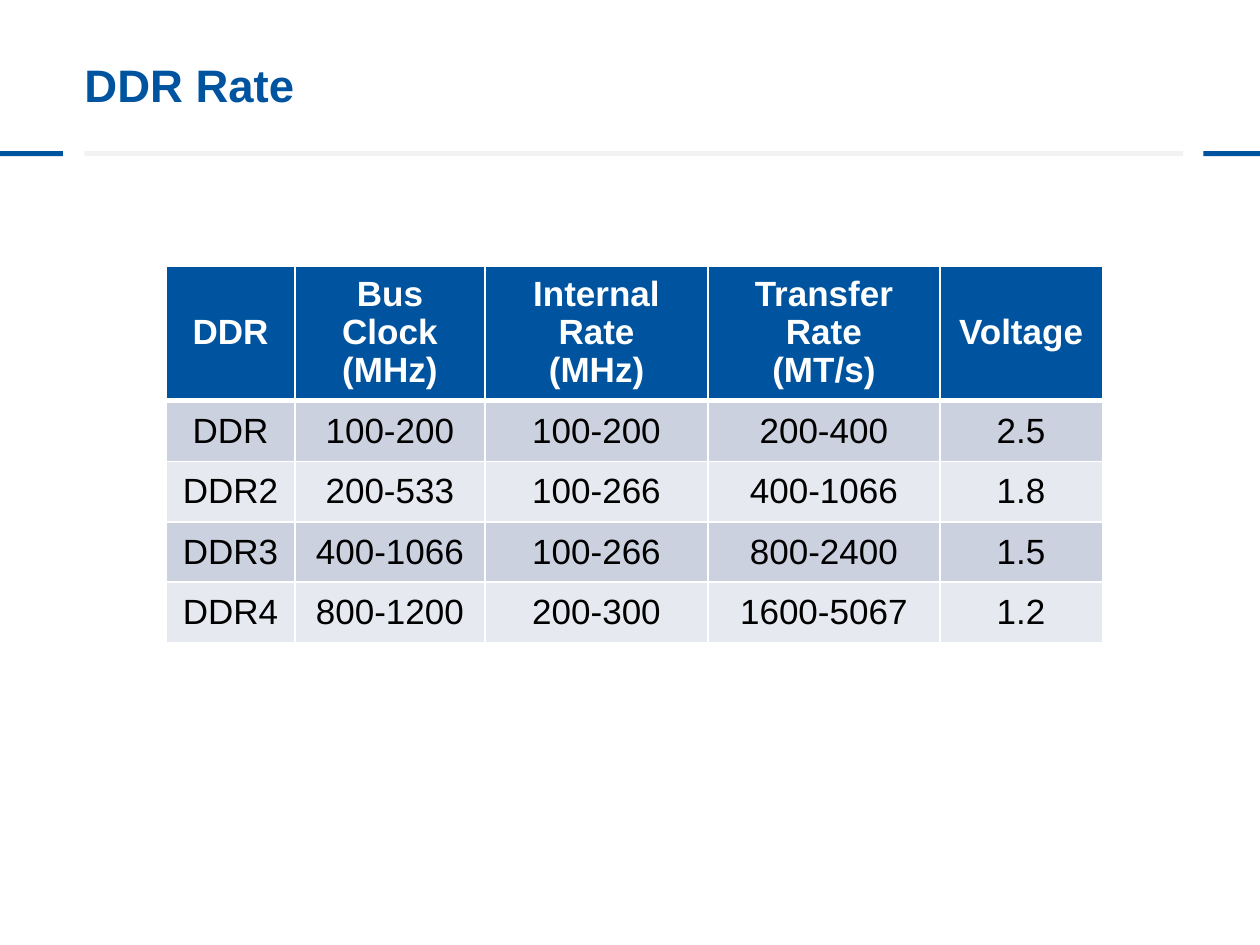
from dataclasses import dataclass

from lxml import etree
from pptx import Presentation
from pptx import util as u
from pptx.dml.color import RGBColor
from pptx.enum import shapes, text
from pptx.oxml.ns import qn


@dataclass(frozen=True)
class Theme:
    font: str = "Arial"
    blue: str = "00549F"
    grey: str = "F2F2F2"
    white: str = "FFFFFF"
    black: str = "000000"
    bands: tuple = ("CCD1DF", "E7E9F0")
    title_size: int = 26
    table_size: int = 20


@dataclass(frozen=True)
class Bar:
    left: float
    width: float
    color: str


@dataclass(frozen=True)
class CellStyle:
    fill: str
    color: str
    bold: bool
    bottom_border: int
    line_spacing: float


THEME = Theme()
BAR_TOP, BAR_HEIGHT = 1.2, 0.04
BARS = (
    Bar(0, 0.5, THEME.blue),
    Bar(9.55, 0.45, THEME.blue),
    Bar(0.67, 8.72, THEME.grey),
)
COLUMN_WIDTHS = (1.02, 1.51, 1.77, 1.84, 1.29)
HEADER_HEIGHT, ROW_HEIGHT = 0.87, 0.48
ROWS = (
    ("DDR", "Bus Clock\n(MHz)", "Internal Rate\n(MHz)", "Transfer Rate\n(MT/s)", "Voltage"),
    ("DDR", "100-200", "100-200", "200-400", "2.5"),
    ("DDR2", "200-533", "100-266", "400-1066", "1.8"),
    ("DDR3", "400-1066", "100-266", "800-2400", "1.5"),
    ("DDR4", "800-1200", "200-300", "1600-5067", "1.2"),
)


def set_font(paragraph, size: int, color: str, bold: bool) -> None:
    for run in paragraph.runs:
        values = {"name": THEME.font, "size": u.Pt(size), "bold": bold}
        for name, value in values.items():
            setattr(run.font, name, value)
        run.font.color.rgb = RGBColor.from_string(color)


def draw_bar(slide, bar: Bar) -> None:
    shape = slide.shapes.add_shape(
        shapes.MSO_SHAPE.RECTANGLE, u.Inches(bar.left), u.Inches(BAR_TOP),
        u.Inches(bar.width), u.Inches(BAR_HEIGHT))
    shape.shadow.inherit = False
    shape.fill.solid()
    shape.fill.fore_color.rgb = RGBColor.from_string(bar.color)
    shape.line.fill.background()


def draw_title(slide, title: str) -> None:
    shape = slide.shapes.add_textbox(
        u.Inches(0.67), u.Inches(0.21), u.Inches(8.72), u.Inches(0.92))
    frame = shape.text_frame
    values = {
        "word_wrap": True, "vertical_anchor": text.MSO_ANCHOR.MIDDLE,
        "margin_left": 0, "margin_top": 0, "margin_right": 0, "margin_bottom": 0,
    }
    for name, value in values.items():
        setattr(frame, name, value)
    frame.text = title
    set_font(frame.paragraphs[0], THEME.title_size, THEME.blue, True)


def set_borders(cell, widths: dict[str, int]) -> None:
    properties = cell._tc.get_or_add_tcPr()
    for index, (side, width) in enumerate(widths.items()):
        line = etree.Element(qn(f"a:{side}"), w=str(u.Pt(width)))
        fill = etree.SubElement(line, qn("a:solidFill"))
        etree.SubElement(fill, qn("a:srgbClr"), val=THEME.white)
        properties.insert(index, line)


def row_style(row: int) -> CellStyle:
    if row == 0:
        return CellStyle(THEME.blue, THEME.white, True, 3, 0.97)
    return CellStyle(THEME.bands[(row - 1) % 2], THEME.black, False, 1, 1.0)


def fill_cell(cell, content: str, row: int) -> None:
    style = row_style(row)
    cell.text = content
    cell.vertical_anchor = text.MSO_ANCHOR.MIDDLE
    cell.fill.solid()
    cell.fill.fore_color.rgb = RGBColor.from_string(style.fill)
    for paragraph in cell.text_frame.paragraphs:
        paragraph.alignment = text.PP_ALIGN.CENTER
        paragraph.line_spacing = style.line_spacing
        set_font(paragraph, THEME.table_size, style.color, style.bold)
    top_border = row_style(0).bottom_border if row == 1 else 1
    set_borders(cell, {"lnL": 1, "lnR": 1, "lnT": top_border, "lnB": style.bottom_border})


def draw_table(slide) -> None:
    heights = [HEADER_HEIGHT] + [ROW_HEIGHT] * (len(ROWS) - 1)
    table = slide.shapes.add_table(
        len(ROWS), len(COLUMN_WIDTHS), u.Inches(1.32), u.Inches(2.11),
        u.Inches(sum(COLUMN_WIDTHS)), u.Inches(sum(heights))).table
    for column, width in zip(table.columns, COLUMN_WIDTHS):
        column.width = u.Inches(width)
    for row, (contents, height) in enumerate(zip(ROWS, heights)):
        table.rows[row].height = u.Inches(height)
        for column, content in enumerate(contents):
            fill_cell(table.cell(row, column), content, row)


def main() -> None:
    presentation = Presentation()
    presentation.slide_width = u.Inches(10)
    presentation.slide_height = u.Inches(7.5)
    slide = presentation.slides.add_slide(presentation.slide_layouts[6])

    # Heading and divider
    for bar in BARS:
        draw_bar(slide, bar)
    draw_title(slide, "DDR Rate")

    # Rates by memory generation
    draw_table(slide)

    presentation.save("out.pptx")


if __name__ == "__main__":
    main()
